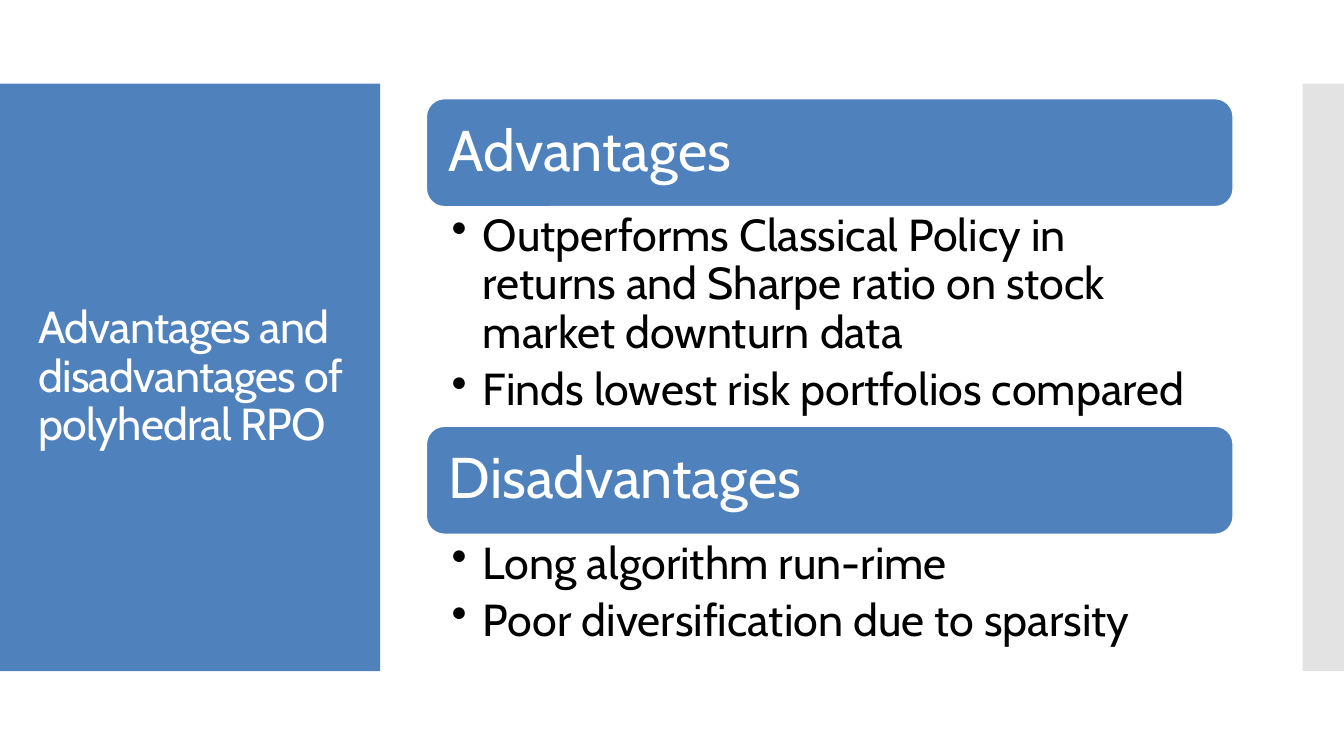
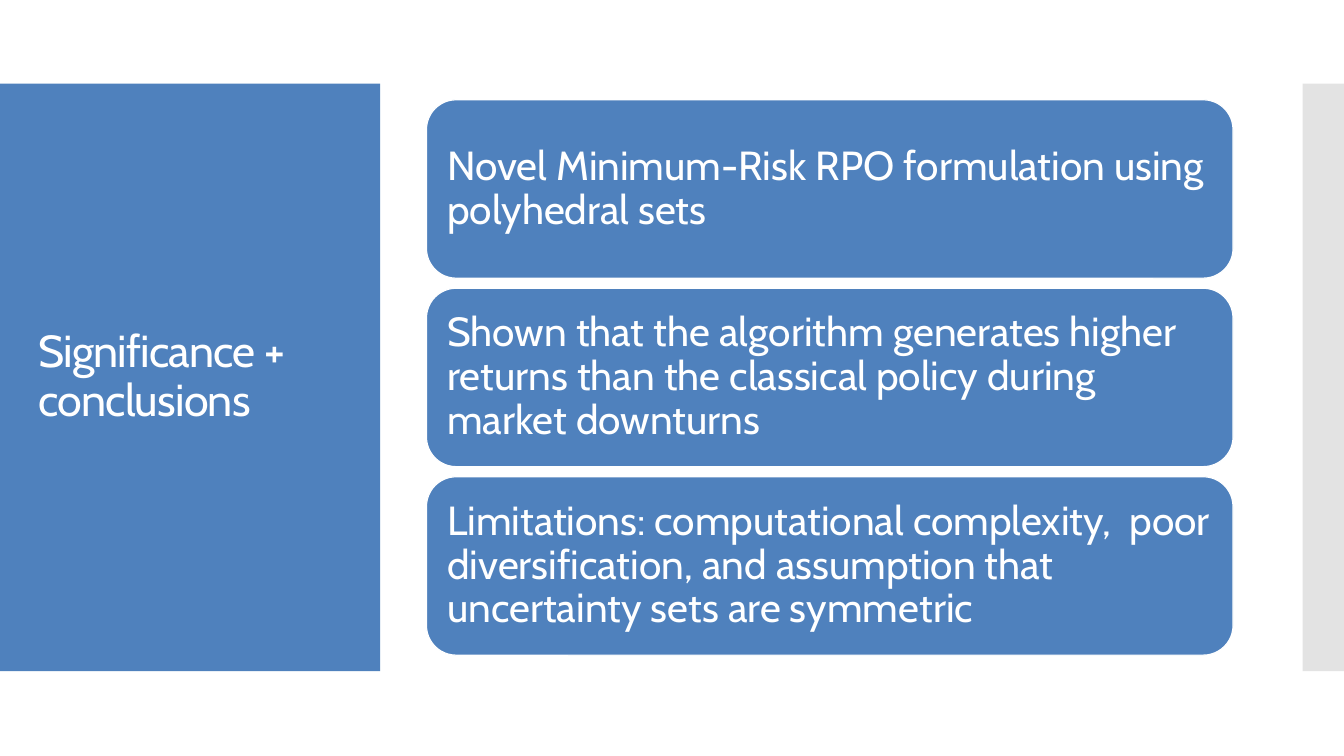
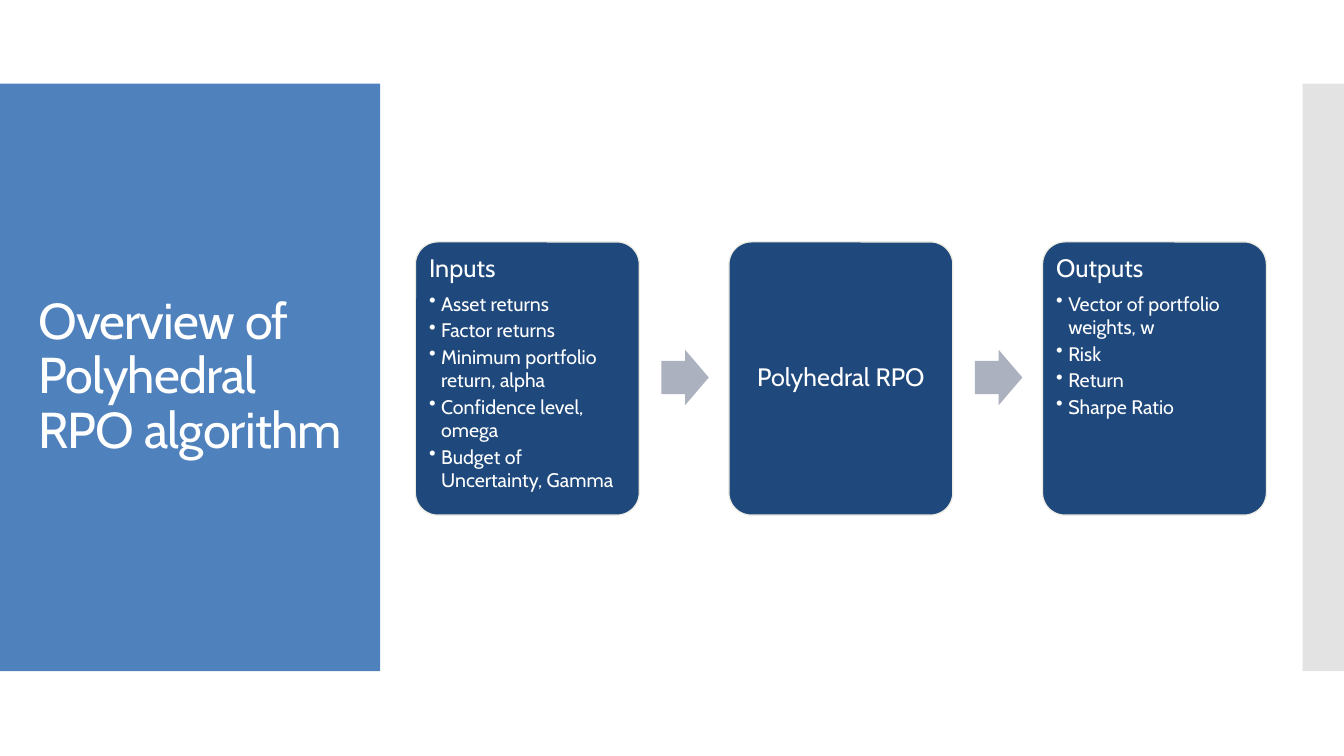
"""Build three slides on polyhedral robust portfolio optimisation."""

import dataclasses

import lxml.etree
import pptx
import pptx.dml.color
import pptx.enum.shapes
import pptx.enum.text
import pptx.oxml.ns
import pptx.presentation
import pptx.shapes.autoshape
import pptx.slide
import pptx.text.text
import pptx.util

EMU_PER_PX = 9144
FONT = "Cabin"

BLUE = pptx.dml.color.RGBColor(0x4F, 0x81, 0xBD)
NAVY = pptx.dml.color.RGBColor(0x1F, 0x49, 0x7D)
ARROW_GREY = pptx.dml.color.RGBColor(0xAC, 0xB1, 0xBF)
EDGE_GREY = pptx.dml.color.RGBColor(0xC8, 0xC8, 0xC8)
CREAM = pptx.dml.color.RGBColor(0xEE, 0xEC, 0xE1)
WHITE = pptx.dml.color.RGBColor(0xFF, 0xFF, 0xFF)
BLACK = pptx.dml.color.RGBColor(0x00, 0x00, 0x00)

PRESET = pptx.enum.shapes.MSO_SHAPE
ANCHOR = pptx.enum.text.MSO_ANCHOR
ALIGN = pptx.enum.text.PP_ALIGN


@dataclasses.dataclass(frozen=True)
class Box:
    left: int
    top: int
    width: int
    height: int

    def emu(self) -> list[pptx.util.Emu]:
        return [px(side) for side in dataclasses.astuple(self)]


@dataclasses.dataclass(frozen=True)
class TextStyle:
    size: int
    color: pptx.dml.color.RGBColor = WHITE
    line_spacing: float = 0.9
    after: float = 0.35
    indent: int = 0
    align: pptx.enum.text.PP_ALIGN = ALIGN.LEFT


@dataclasses.dataclass(frozen=True)
class Section:
    heading: str
    points: tuple[str, ...]
    list_height: int = 0


TITLE_BOX = Box(28, 123, 322, 503)
TITLE_BAND = Box(0, 83, 377, 583)
EDGE_BAND = Box(1292, 83, 42, 583)
COLUMN_LEFT, COLUMN_WIDTH = 423, 800

HEADING = TextStyle(41)
POINT = TextStyle(32, BLACK, after=0.2, indent=31)
CONCLUSION = TextStyle(29)
STAGE_HEADING = TextStyle(18)
STAGE_CENTRED = TextStyle(18, align=ALIGN.CENTER)
STAGE_POINT = TextStyle(14, line_spacing=1.0, after=0.15, indent=12)

SECTIONS = (
    Section("Advantages", (
        "Outperforms Classical Policy in returns and Sharpe ratio on stock market downturn data",
        "Finds lowest risk portfolios compared",
    ), 218),
    Section("Disadvantages", (
        "Long algorithm run-rime",
        "Poor diversification due to sparsity",
    ), 121),
)
CONCLUSIONS = (
    "Novel Minimum-Risk RPO formulation using polyhedral sets",
    "Shown that the algorithm generates higher returns than the classical policy during market downturns",
    "Limitations: computational complexity,  poor diversification, and assumption that "
    "uncertainty sets are symmetric",
)
STAGES = (
    Section("Inputs", (
        "Asset returns",
        "Factor returns",
        "Minimum portfolio return, alpha",
        "Confidence level, omega",
        "Budget of Uncertainty, Gamma",
    )),
    Section("Polyhedral RPO", ()),
    Section("Outputs", ("Vector of portfolio weights, w", "Risk", "Return", "Sharpe Ratio")),
)


def px(length: int) -> pptx.util.Emu:
    return pptx.util.Emu(length * EMU_PER_PX)


def prepare_frame(frame: pptx.text.text.TextFrame, insets: tuple[int, int, int, int],
                  anchor: pptx.enum.text.MSO_ANCHOR) -> None:
    frame.word_wrap = True
    frame.auto_size = pptx.enum.text.MSO_AUTO_SIZE.NONE
    frame.vertical_anchor = anchor
    frame.margin_left, frame.margin_top, frame.margin_right, frame.margin_bottom = map(px, insets)


def write(frame: pptx.text.text.TextFrame, text: str, style: TextStyle) -> pptx.text.text._Run:
    paragraph = frame.paragraphs[-1]
    if paragraph.runs:
        paragraph = frame.add_paragraph()
    paragraph.alignment = style.align
    paragraph.line_spacing = style.line_spacing
    paragraph.space_after = pptx.util.Pt(style.size * style.after)
    if style.indent:
        paragraph.level = 1
        properties = paragraph._p.get_or_add_pPr()
        properties.set("marL", str(px(style.indent)))
        properties.set("indent", str(-px(style.indent)))
        bullet = lxml.etree.SubElement(properties, pptx.oxml.ns.qn("a:buChar"))
        bullet.set("char", "•")
    run = paragraph.add_run()
    run.text = text
    run.font.name = FONT
    run.font.size = pptx.util.Pt(style.size)
    run.font.color.rgb = style.color
    return run


def add_block(slide: pptx.slide.Slide, preset: pptx.enum.shapes.MSO_SHAPE, box: Box,
              fill: pptx.dml.color.RGBColor, outline: pptx.dml.color.RGBColor | None = None,
              adjustments: tuple[float, ...] = ()) -> pptx.shapes.autoshape.Shape:
    block = slide.shapes.add_shape(preset, *box.emu())
    block.shadow.inherit = False
    block.fill.solid()
    block.fill.fore_color.rgb = fill
    if outline is None:
        block.line.fill.background()
    else:
        block.line.color.rgb = outline
        block.line.width = pptx.util.Pt(0.85)
    for index, value in enumerate(adjustments):
        block.adjustments[index] = value
    return block


def add_card(slide: pptx.slide.Slide, box: Box, text: str, style: TextStyle, inset: int) -> None:
    card = add_block(slide, PRESET.ROUNDED_RECTANGLE, box, BLUE, WHITE)
    prepare_frame(card.text_frame, (inset,) * 4, ANCHOR.MIDDLE)
    write(card.text_frame, text, style)


def add_titled_slide(deck: pptx.presentation.Presentation, text: str, size: int) -> pptx.slide.Slide:
    slide = deck.slides.add_slide(deck.slide_layouts[5])
    title = slide.shapes.title
    title.left, title.top, title.width, title.height = TITLE_BOX.emu()
    prepare_frame(title.text_frame, (10, 5, 10, 5), ANCHOR.MIDDLE)
    run = write(title.text_frame, text, TextStyle(size, after=0))
    run.font._element.set("spc", "-60")
    return slide


def move_bands_to_layout(slide: pptx.slide.Slide) -> None:
    layout = slide.slide_layout
    for footer in list(layout.placeholders)[1:]:
        layout.shapes.element.remove(footer.element)
    title_band = add_block(slide, PRESET.RECTANGLE, TITLE_BAND, BLUE)
    edge_band = add_block(slide, PRESET.RECTANGLE, EDGE_BAND, EDGE_GREY)
    edge_color = next(edge_band.element.iter(pptx.oxml.ns.qn("a:srgbClr")))
    lxml.etree.SubElement(edge_color, pptx.oxml.ns.qn("a:alpha")).set("val", "50000")
    for band in (title_band, edge_band):
        layout.shapes.element.append(band.element)


def draw_sections(slide: pptx.slide.Slide) -> None:
    top, heading_height = 98, 107
    for section in SECTIONS:
        add_card(slide, Box(COLUMN_LEFT, top, COLUMN_WIDTH, heading_height),
                 section.heading, HEADING, 17)
        top += heading_height
        points_box = Box(COLUMN_LEFT, top, COLUMN_WIDTH, section.list_height)
        points = slide.shapes.add_textbox(*points_box.emu()).text_frame
        prepare_frame(points, (25, 6, 32, 6), ANCHOR.TOP)
        for point in section.points:
            write(points, point, POINT)
        top += section.list_height


def draw_conclusions(slide: pptx.slide.Slide) -> None:
    top, height, gap = 99, 177, 10
    for row, conclusion in enumerate(CONCLUSIONS):
        box = Box(COLUMN_LEFT, top + row * (height + gap), COLUMN_WIDTH, height)
        add_card(slide, box, conclusion, CONCLUSION, 12)


def draw_stages(slide: pptx.slide.Slide) -> None:
    left, pitch, width, arrow_offset = 412, 311, 222, 244
    for column, stage in enumerate(STAGES):
        stage_left = left + column * pitch
        if column:
            arrow_box = Box(stage_left - pitch + arrow_offset, 347, 47, 55)
            add_block(slide, PRESET.RIGHT_ARROW, arrow_box, ARROW_GREY, adjustments=(0.6, 0.5))
        card = add_block(slide, PRESET.ROUNDED_RECTANGLE, Box(stage_left, 240, width, 271),
                         NAVY, CREAM, (0.1,))
        prepare_frame(card.text_frame, (7,) * 4, ANCHOR.TOP if stage.points else ANCHOR.MIDDLE)
        write(card.text_frame, stage.heading, STAGE_HEADING if stage.points else STAGE_CENTRED)
        for point in stage.points:
            write(card.text_frame, point, STAGE_POINT)


def main() -> None:
    deck = pptx.Presentation()
    deck.slide_width, deck.slide_height = px(1333), px(750)
    comparison = add_titled_slide(deck, "Advantages and disadvantages of polyhedral RPO", 32)
    move_bands_to_layout(comparison)
    draw_sections(comparison)
    draw_conclusions(add_titled_slide(deck, "Significance + conclusions", 32))
    draw_stages(add_titled_slide(deck, "Overview of Polyhedral RPO algorithm", 36))
    deck.save("out.pptx")


if __name__ == "__main__":
    main()
